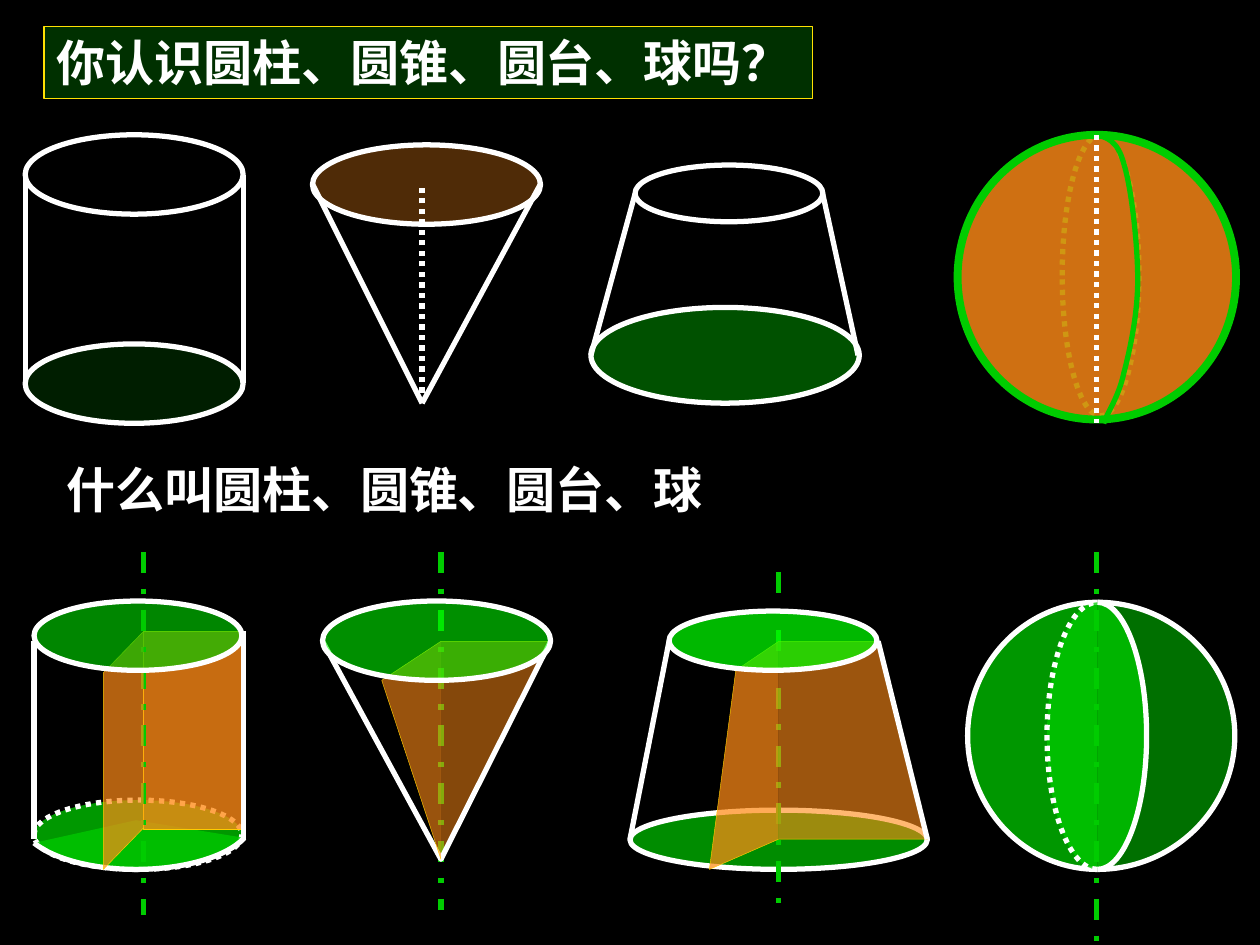
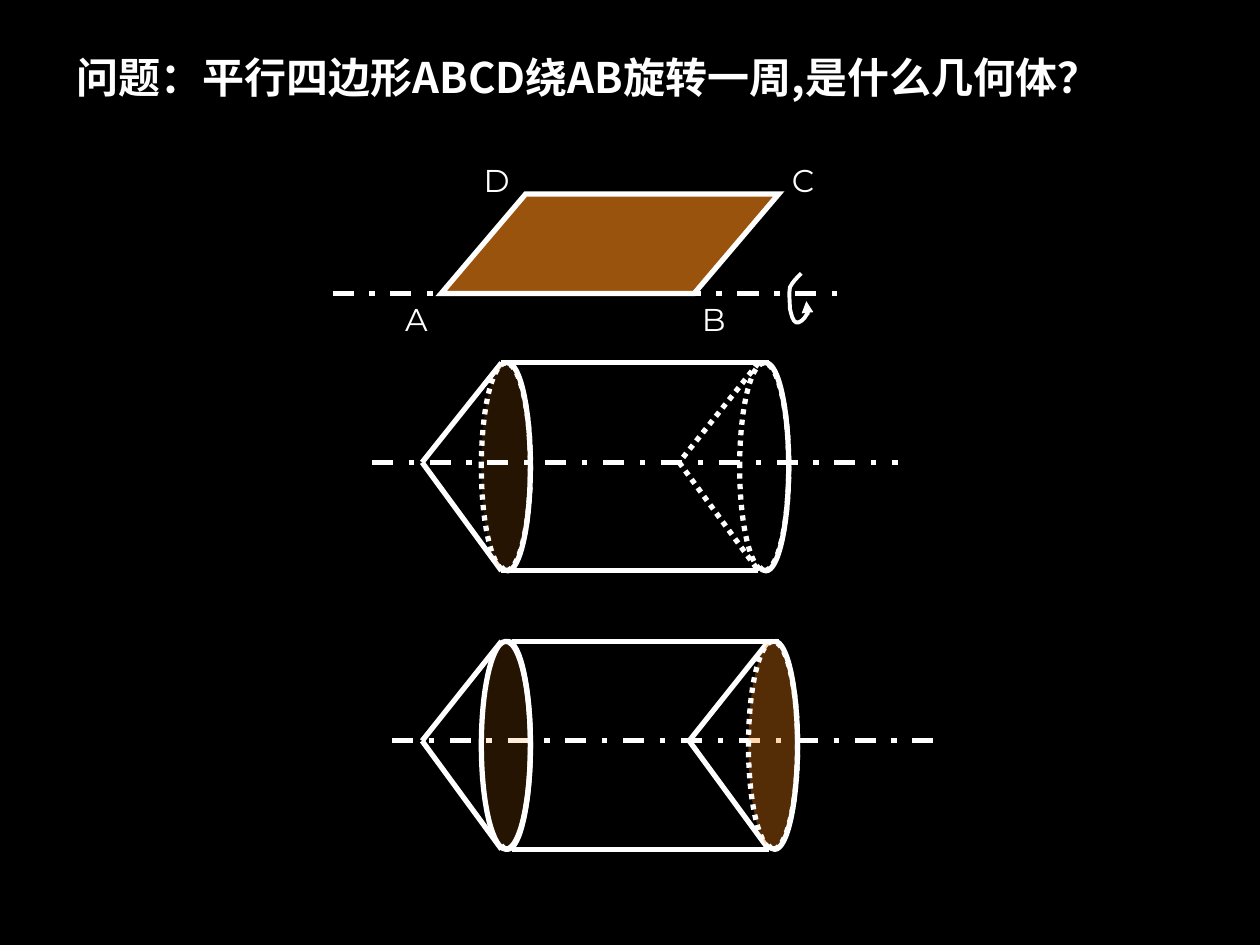
from copy import deepcopy

from lxml import etree
from pptx import Presentation
from pptx.dml.color import RGBColor
from pptx.enum.dml import MSO_LINE
from pptx.enum.shapes import MSO_CONNECTOR, MSO_SHAPE
from pptx.enum.text import MSO_ANCHOR, MSO_AUTO_SIZE, PP_ALIGN
from pptx.oxml.ns import qn
from pptx.util import Inches, Pt

# Shared look
BLACK = RGBColor(0x00, 0x00, 0x00)
WHITE = RGBColor(0xFF, 0xFF, 0xFF)
GREEN = RGBColor(0x00, 0xCC, 0x00)
LIME = RGBColor(0x00, 0xFF, 0x00)
ORANGE = RGBColor(0xFF, 0x8B, 0x17)
GOLD = RGBColor(0xFF, 0xCC, 0x00)
YELLOW = RGBColor(0xFF, 0xE1, 0x03)
LATIN_FONT = "Montserrat"
CHINESE_FONT = "Noto Sans CJK SC"
DOTS = MSO_LINE.ROUND_DOT
DASH_DOT = MSO_LINE.DASH_DOT
OVAL = MSO_SHAPE.OVAL
PARALLELOGRAM = MSO_SHAPE.PARALLELOGRAM
RECTANGLE = MSO_SHAPE.RECTANGLE
STRAIGHT = MSO_CONNECTOR.STRAIGHT
LEFT, CENTER = PP_ALIGN.LEFT, PP_ALIGN.CENTER

# Grid of 10 columns by 7.5 rows
COLUMNS, ROWS = 10, 7.5
SLIDE_WIDTH, SLIDE_HEIGHT = Inches(10), Inches(7.5)

# Sizes of the solids turned about a horizontal axis
DISC_WIDTH, DISC_HEIGHT = 0.39, 1.65
CONE_LENGTH, AXIS_DROP = 0.63, 0.79
ROUNDNESS = 0.55  # share of the radius for the handles of a quarter ellipse


def across(columns):
    return round(SLIDE_WIDTH * columns / COLUMNS)


def down(rows):
    return round(SLIDE_HEIGHT * rows / ROWS)


def place(left, top, width, height):
    return across(left), down(top), across(width), down(height)


# Formatting
def set_line(line, color=WHITE, width=3, dash=None):
    line.color.rgb = color
    line.width = Pt(width)
    if dash is not None:
        line.dash_style = dash


def set_fill(shape, color=None, opacity=100):
    if color is None:
        shape.fill.background()
        return
    shape.fill.solid()
    shape.fill.fore_color.rgb = color
    color_node = shape._element.spPr.find(qn("a:solidFill"))[0]
    etree.SubElement(color_node, qn("a:alpha"), val=str(opacity * 1000))


def add_line_detail(shape, tag, **values):
    etree.SubElement(shape.line._get_or_add_ln(), qn(tag), **values)


def set_text(box, text, size, font=LATIN_FONT, bold=False, align=LEFT):
    frame = box.text_frame
    frame.text = text
    frame_format = {
        "word_wrap": True, "auto_size": MSO_AUTO_SIZE.NONE,
        "vertical_anchor": MSO_ANCHOR.TOP,
        "margin_left": Inches(0.1), "margin_right": Inches(0.1),
        "margin_top": Inches(0.05), "margin_bottom": Inches(0.05),
    }
    para = frame.paragraphs[0]
    para_format = {"alignment": align, "line_spacing": Pt(size * 1.2),
                   "space_before": Pt(0)}
    span = para.runs[0]
    font_format = {"name": font, "size": Pt(size), "bold": bold}
    for target, values in ((frame, frame_format), (para, para_format),
                           (span.font, font_format)):
        for name, value in values.items():
            setattr(target, name, value)
    span.font.color.rgb = WHITE
    etree.SubElement(span._r.get_or_add_rPr(), qn("a:ea"),
                     typeface=CHINESE_FONT)


# Elements
def add_page(deck, title, size, area, font):
    page = deck.slides.add_slide(deck.slide_layouts[5])
    box = page.shapes.title
    box.left, box.top, box.width, box.height = place(*area)
    set_text(box, title, size, font, bold=True)
    return page


def add_text(page, text, area, size, **style):
    box = page.shapes.add_textbox(*place(*area))
    set_text(box, text, size, **style)


def add_preset(page, kind, area, fill=None, opacity=100, **line):
    shape = page.shapes.add_shape(kind, *place(*area))
    shape.shadow.inherit = False
    set_fill(shape, fill, opacity)
    set_line(shape.line, **line)
    return shape


def add_ellipse(page, area, **style):
    return add_preset(page, OVAL, area, **style)


def add_line(page, start, end, **line):
    connector = page.shapes.add_connector(
        STRAIGHT, across(start[0]), down(start[1]), across(end[0]), down(end[1]))
    set_line(connector.line, **line)
    etree.SubElement(connector._element.spPr, qn("a:effectLst"))


def add_outline(page, points, fill=None, opacity=100, **line):
    first, *rest = [(across(x), down(y)) for x, y in points]
    builder = page.shapes.build_freeform(*first)
    builder.add_line_segments(rest, close=False)
    shape = builder.convert_to_shape()
    shape.shadow.inherit = False
    set_fill(shape, fill, opacity)
    set_line(shape.line, **line)
    return shape


def add_curve(page, points, apex=None, **style):
    """Draw a chain of cubic curves; with an apex, fill the sector up to it."""
    shape = add_outline(page, points + ([apex] if apex else []), **style)
    outline = next(shape._element.iter(qn("a:path")))
    steps = outline.findall(qn("a:lnTo"))
    for k in range(0, len(points) - 1, 3):
        bend = etree.Element(qn("a:cubicBezTo"))
        steps[k].addprevious(bend)
        for step in steps[k:k + 3]:
            bend.append(step[0])
            outline.remove(step)
    if apex:
        sector = deepcopy(outline)
        etree.SubElement(sector, qn("a:close"))
        sector.set("stroke", "0")
        outline.addnext(sector)
        outline.remove(steps[-1])
        outline.set("fill", "none")
    return shape


def half_ellipse(center, reach, rise):
    """Curve from below the center to above it; a negative rise turns it over."""
    x, y = center
    far, bend = x + reach, ROUNDNESS
    return [(x, y + rise), (x + bend * reach, y + rise), (far, y + bend * rise),
            (far, y), (far, y - bend * rise), (x + bend * reach, y - rise),
            (x, y - rise)]


def add_axis(page, start, end, color=GREEN):
    add_line(page, start, end, color=color, dash=DASH_DOT)


def add_section(page, points, opacity):
    add_outline(page, points, fill=ORANGE, opacity=opacity, color=GOLD, width=0.25)


# Slide 1, upper row: the four solids
def draw_solids(page):
    # Cylinder
    add_ellipse(page, (0.2, 1.07, 1.73, 0.63))
    add_ellipse(page, (0.2, 2.73, 1.73, 0.63), fill=GREEN, opacity=15)
    for side in (1.93, 0.2):
        add_line(page, (side, 1.39), (side, 3.04))
    # Cone
    add_ellipse(page, (2.48, 1.15, 1.81, 0.63), fill=ORANGE, opacity=31)
    apex = (3.35, 3.2)
    add_line(page, apex, (3.35, 1.46), dash=DOTS)
    for rim in (4.29, 2.48):
        add_line(page, apex, (rim, 1.46))
    # Frustum
    add_ellipse(page, (4.69, 2.44, 2.13, 0.76), fill=GREEN, opacity=40)
    add_ellipse(page, (5.04, 1.31, 1.49, 0.45))
    for upper, lower in ((5.04, 4.69), (6.53, 6.81)):
        add_line(page, (upper, 1.54), (lower, 2.82))
    # Sphere
    add_ellipse(page, (8.43, 1.07, 0.61, 2.23), color=GREEN, dash=DOTS)
    add_ellipse(page, (7.6, 1.07, 2.21, 2.26), fill=ORANGE, opacity=81,
                color=GREEN, width=4.5)
    meridian = [(8.7, 1.07), (8.78, 1.09), (8.87, 1.11), (8.92, 1.3),
                (8.98, 1.49), (9.03, 1.94), (9.03, 2.22),
                (9.03, 2.49), (8.97, 2.77), (8.92, 2.96),
                (8.88, 3.15), (8.78, 3.29), (8.76, 3.36)]
    add_curve(page, meridian, color=GREEN)
    add_line(page, (8.7, 1.07), (8.7, 3.36), dash=DOTS)


# Slide 1, lower row: the solids as figures turned about an axis
def draw_turned_cylinder(page):
    add_ellipse(page, (0.27, 6.35, 1.65, 0.55), fill=GREEN, opacity=75, dash=DOTS)
    front = [(0.27, 6.69), (0.43, 6.82), (0.74, 6.9), (1.08, 6.9),
             (1.46, 6.9), (1.8, 6.8), (1.94, 6.65)]
    add_curve(page, front, apex=(1.08, 6.51), fill=GREEN, opacity=75)
    add_preset(page, RECTANGLE, (1.14, 5.01, 0.79, 1.57), fill=ORANGE, opacity=78,
               color=GOLD, width=0.25)
    add_axis(page, (1.14, 4.38), (1.14, 7.26))
    add_line(page, (0.27, 5.09), (0.27, 6.66))
    add_line(page, (1.93, 5.01), (1.93, 6.66))
    add_section(page, [(1.14, 5.01), (0.82, 5.34), (0.82, 6.9), (1.14, 6.57)], 70)
    add_ellipse(page, (0.27, 4.77, 1.65, 0.55), fill=GREEN, opacity=66)


def draw_turned_cone(page):
    center, apex, left, right = (3.5, 5.09), (3.5, 6.82), (2.56, 5.09), (4.37, 5.09)
    add_axis(page, (3.5, 4.38), (3.5, 7.22))
    add_section(page, [apex, right, center], 52)
    add_outline(page, [left, apex, right])
    add_section(page, [center, (3.03, 5.4), apex], 60)
    add_ellipse(page, (2.56, 4.77, 1.81, 0.63), fill=LIME, opacity=56)


def draw_turned_frustum(page):
    top, base = (6.18, 5.09), (6.18, 6.66)
    add_ellipse(page, (5, 6.43, 2.36, 0.47), fill=LIME, opacity=55)
    add_axis(page, (6.18, 4.54), (6.18, 7.22))
    add_section(page, [top, (6.96, 5.09), (7.36, 6.66), base], 61)
    add_section(page, [top, (5.84, 5.32), (5.63, 6.9), base], 72)
    add_line(page, (5.31, 5.09), (5, 6.66))
    add_line(page, (6.97, 5.09), (7.36, 6.66))
    add_ellipse(page, (5.31, 4.85, 1.65, 0.47), fill=LIME, opacity=72)


def draw_turned_sphere(page):
    def add_half(reach, opacity, dash=None):
        add_curve(page, half_ellipse((8.71, 5.84), reach, 1.06),
                  fill=GREEN, opacity=opacity, dash=dash)

    add_half(1.09, 55)
    add_axis(page, (8.7, 4.38), (8.7, 7.53))
    add_half(-1.03, 74)
    add_half(0.39, 74)
    add_half(-0.4, 74, DOTS)


# Slide 2
def draw_parallelogram(page):
    add_axis(page, (2.64, 2.33), (6.65, 2.33), WHITE)
    shape = add_preset(page, PARALLELOGRAM, (3.5, 1.54, 2.68, 0.79),
                       fill=ORANGE, opacity=60)
    shape.adjustments[0] = 0.85
    add_line_detail(shape, "a:miter", lim="800000")
    turn = [(6.36, 2.17), (6.32, 2.21), (6.29, 2.24), (6.27, 2.28),
            (6.26, 2.33), (6.27, 2.4), (6.27, 2.45),
            (6.28, 2.49), (6.29, 2.55), (6.32, 2.56),
            (6.34, 2.57), (6.39, 2.53), (6.4, 2.5),
            (6.42, 2.48), (6.41, 2.43), (6.4, 2.39)]
    arrow = add_curve(page, turn, width=2.25)
    add_line_detail(arrow, "a:tailEnd", type="triangle")
    for letter, left, top in (("A", 3.11, 2.33), ("B", 5.47, 2.33),
                              ("C", 6.18, 1.23), ("D", 3.74, 1.23)):
        add_text(page, letter, (left, top, 0.39, 0.4), 18, align=CENTER)


def draw_cone_sides(page, left, top, dash=None):
    apex, base = (left, top + AXIS_DROP), left + CONE_LENGTH
    add_line(page, (base, top), apex, dash=dash)
    add_line(page, apex, (base, top + DISC_HEIGHT), dash=dash)


def draw_disc(page, left, top, opacity=None, dash=DOTS):
    """Draw a disc seen from the side, with its near edge solid."""
    fill = None if opacity is None else ORANGE
    add_ellipse(page, (left, top, DISC_WIDTH, DISC_HEIGHT), fill=fill,
                opacity=opacity, dash=dash)
    x, bottom = left + 0.21, top + DISC_HEIGHT
    edge = half_ellipse((x, top + DISC_HEIGHT / 2), 0.18, -DISC_HEIGHT / 2)
    tip = [(x - 0.02, bottom), (x - 0.04, bottom - 0.01), (x - 0.05, bottom - 0.03)]
    add_curve(page, edge + tip)


def draw_turned_parallelogram(page, top, right_cone, right_disc, edges,
                              left_dash, right_dash, right_opacity):
    draw_cone_sides(page, 3.35, top)
    draw_disc(page, 3.82, top, 15, left_dash)
    draw_cone_sides(page, right_cone, top, right_dash)
    draw_disc(page, right_disc, top, right_opacity)
    start, upper_end, lower_end = edges
    add_line(page, (start, top), (upper_end, top))
    add_line(page, (start, top + DISC_HEIGHT), (lower_end, top + DISC_HEIGHT))


def main():
    deck = Presentation()
    deck.slide_width, deck.slide_height = SLIDE_WIDTH, SLIDE_HEIGHT
    backdrop = deck.slide_master.background.fill
    backdrop.solid()
    backdrop.fore_color.rgb = BLACK

    # Slide 1: the solids and how they arise
    page = add_page(deck, "你认识圆柱、圆锥、圆台、球吗？", 28,
                    (0.35, 0.21, 6.1, 0.57), LATIN_FONT)
    set_fill(page.shapes.title, GREEN, 24)
    set_line(page.shapes.title.line, YELLOW, 0.75)
    draw_solids(page)
    add_text(page, "什么叫圆柱、圆锥、圆台、球", (0.43, 3.6, 5.59, 0.57), 28, bold=True)
    for draw in (draw_turned_cylinder, draw_turned_cone,
                 draw_turned_frustum, draw_turned_sphere):
        draw(page)

    # Slide 2: a parallelogram turned about one side
    page = add_page(deck, "问题：平行四边形ABCD绕AB旋转一周,是什么几何体？", 24,
                    (0.51, 0.36, 8.35, 0.9), CHINESE_FONT)
    draw_parallelogram(page)
    draw_turned_parallelogram(page, 2.88, 5.39, 5.87, (3.98, 6.1, 6.02),
                              DOTS, DOTS, None)
    add_axis(page, (2.95, 3.67), (7.13, 3.67), WHITE)
    add_axis(page, (3.11, 5.88), (7.52, 5.88), WHITE)
    draw_turned_parallelogram(page, 5.09, 5.47, 5.94, (4.06, 6.18, 6.1),
                              None, None, 33)
    deck.save("out.pptx")


if __name__ == "__main__":
    main()
